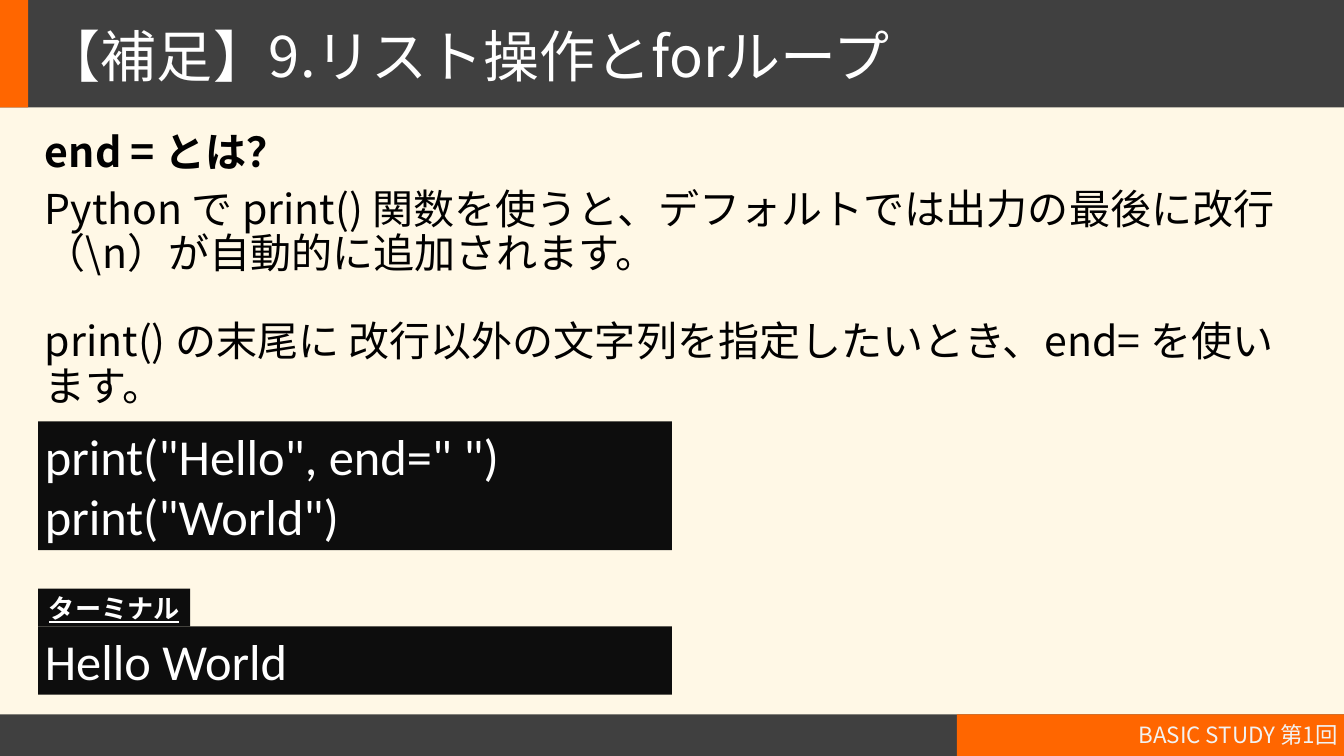
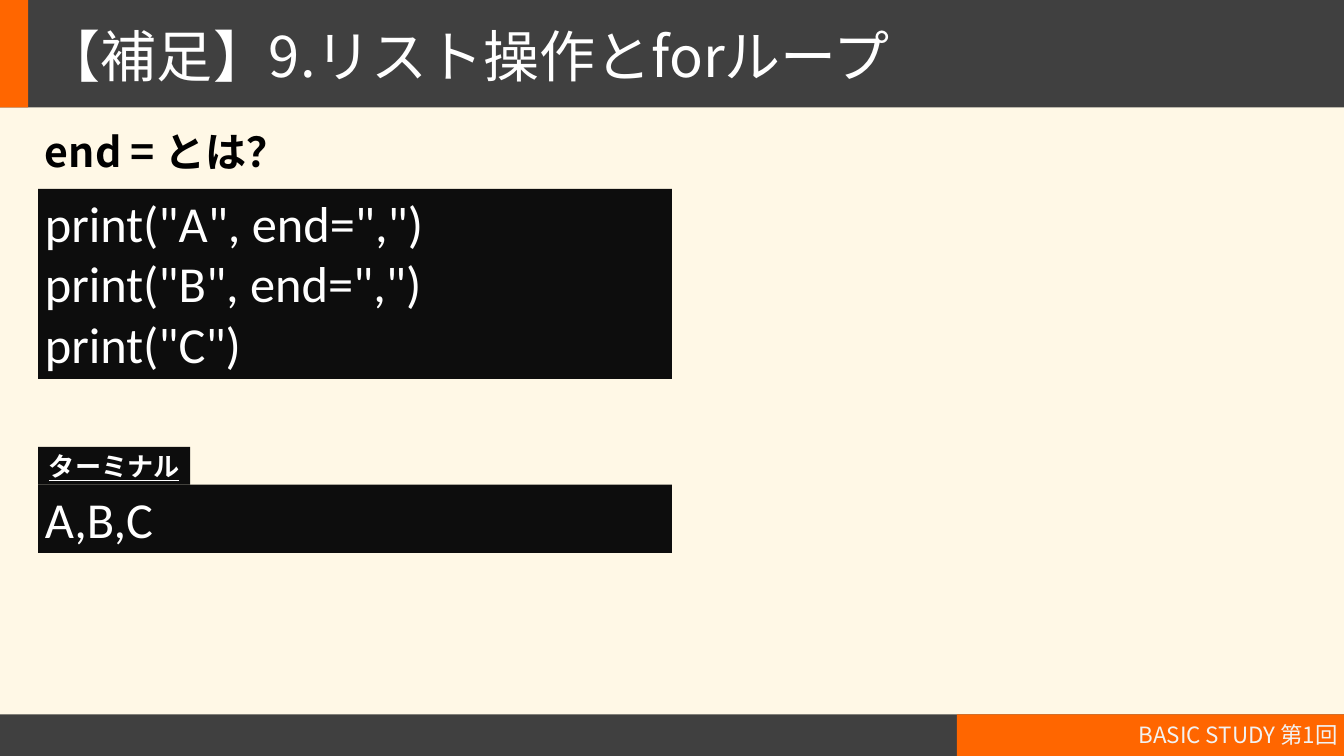
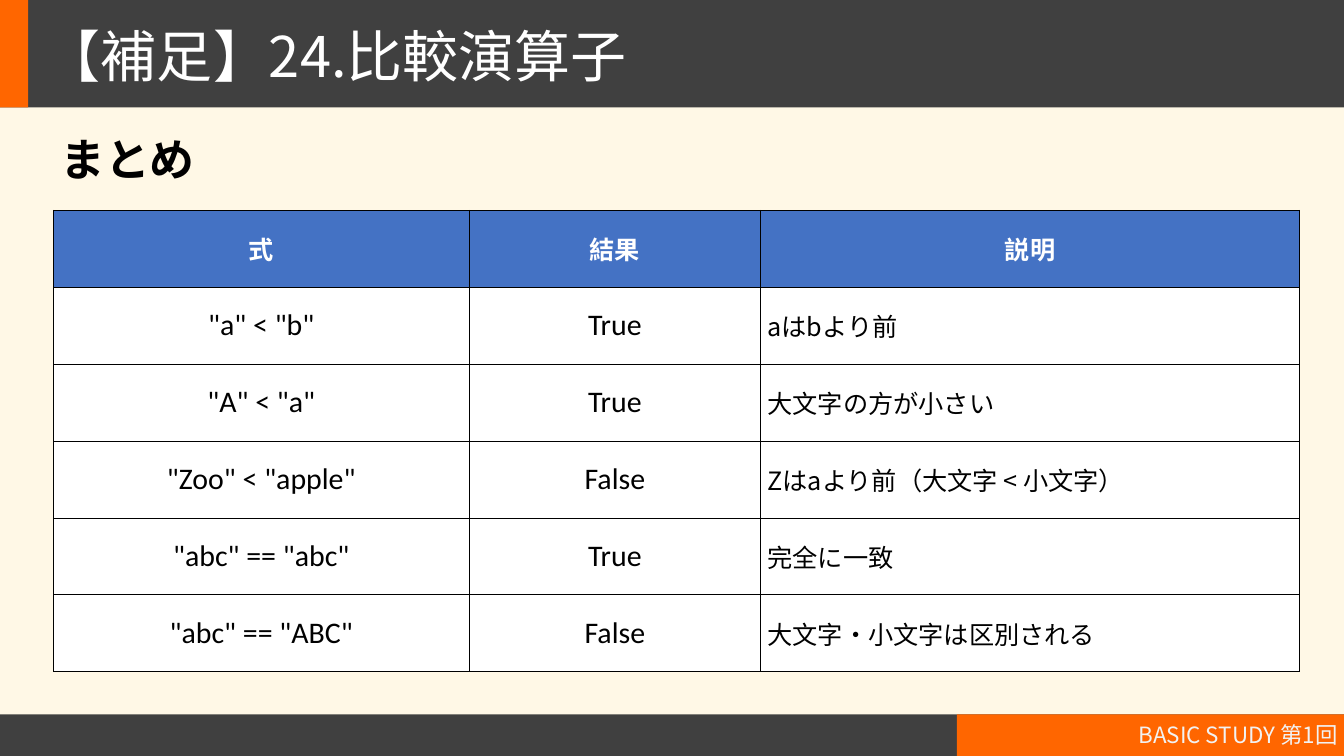
from dataclasses import dataclass

from lxml import etree
from pptx import Presentation
from pptx import util as u
from pptx.dml.color import RGBColor
from pptx.enum import shapes, text
from pptx.oxml.ns import qn


@dataclass(frozen=True)
class Theme:
    """Colours, fonts and type sizes shared by all slides."""
    cream: str = "FFF8E6"
    charcoal: str = "404040"
    orange: str = "FF6600"
    console: str = "0D0D0D"
    header: str = "4472C4"
    white: str = "FFFFFF"
    pale: str = "F2F2F2"
    black: str = "000000"
    japanese: str = "Noto Sans CJK JP"
    latin: str = "Calibri"
    title: int = 60
    code: int = 54
    summary: int = 48
    body: int = 44
    expression: int = 32
    label: int = 28
    cell: int = 27
    footer: int = 24


T = Theme()
WIDTH, HEIGHT = 1440, 810
TITLE_BAND, FOOTER_TOP = 115.2, 765.4
LEFT = 41
PANEL_WIDTH = 679
LABEL_WIDTH, LABEL_HEIGHT = 162.7, 40.5
TERMINAL_HEIGHT = 73
PP, ANCHOR, FIT = text.PP_ALIGN, text.MSO_ANCHOR, text.MSO_AUTO_SIZE


def write(frame, lines, size=T.body, color=T.black, font=T.japanese, bold=False,
          underline=False, align=PP.LEFT, anchor=ANCHOR.TOP, spacing=1.0, gap=0):
    """Fill a text frame with one paragraph per line in the given format."""
    frame.word_wrap = True
    frame.vertical_anchor = anchor
    for index, line in enumerate(lines):
        paragraph = frame.add_paragraph() if index else frame.paragraphs[0]
        paragraph.alignment = align
        paragraph.line_spacing = spacing
        paragraph.space_before = u.Pt(gap if index else 0)
        run = paragraph.add_run()
        run.text = line
        run.font.size = u.Pt(size)
        run.font.bold = bold
        run.font.underline = underline
        run.font.color.rgb = RGBColor.from_string(color)
        run.font.name = font
        if font == T.japanese:
            properties = run.font.fill and run._r.get_or_add_rPr()
            etree.SubElement(properties, qn("a:ea"), typeface=font)


def points(*lengths):
    """Convert lengths in points."""
    return [u.Pt(length) for length in lengths]


def add_block(slide, box, color):
    """Add a plain filled rectangle."""
    block = slide.shapes.add_shape(shapes.MSO_SHAPE.RECTANGLE, *points(*box))
    block.shadow.inherit = False
    block.fill.solid()
    block.fill.fore_color.rgb = RGBColor.from_string(color)
    block.line.fill.background()
    return block


def add_words(slide, box, lines, **style):
    """Add a text box at the given box."""
    words = slide.shapes.add_textbox(*points(*box))
    write(words.text_frame, lines, **style)


def prepare_layout(prs):
    """Give the title layout its background and its header and footer bands."""
    background = prs.slide_master.background.fill
    background.solid()
    background.fore_color.rgb = RGBColor.from_string(T.cream)
    layout = prs.slide_layouts[5]
    for holder in list(layout.placeholders):
        if holder.placeholder_format.type != shapes.PP_PLACEHOLDER.TITLE:
            layout.shapes.element.remove(holder.element)
    return layout


def add_bands(slide, layout):
    """Draw the shared bands and hand them to the layout."""
    footer_height = HEIGHT - FOOTER_TOP
    bands = (
        ((0, FOOTER_TOP, WIDTH, footer_height), T.charcoal),
        ((1025.3, FOOTER_TOP, WIDTH - 1025.3, footer_height), T.orange),
        ((0, 0, WIDTH, TITLE_BAND), T.charcoal),
        ((0, 0, 30.2, TITLE_BAND), T.orange),
    )
    for box, color in bands:
        layout.shapes.element.append(add_block(slide, box, color).element)


def start_slide(prs, layout, title):
    """Add a slide with its title and footer text."""
    slide = prs.slides.add_slide(layout)
    if len(prs.slides) == 1:
        add_bands(slide, layout)
    heading = slide.shapes.title
    heading.left, heading.top, heading.width, heading.height = points(LEFT, 27.4, 1389.6, 60.5)
    heading.text_frame.auto_size = FIT.NONE
    write(heading.text_frame, [title], size=T.title, color=T.white, spacing=0.9)
    add_words(slide, (954, FOOTER_TOP, 486, 43.2), ["BASIC STUDY 第1回"], size=T.footer,
              color=T.pale, align=PP.RIGHT, anchor=ANCHOR.MIDDLE)
    return slide


def add_panel(slide, box, lines, **style):
    """Add a dark console panel holding lines of text."""
    panel = add_block(slide, box, T.console)
    write(panel.text_frame, lines, color=T.white, **style)
    panel.text_frame.auto_size = FIT.SHAPE_TO_FIT_TEXT


def add_terminal(slide, left, top, output):
    """Add a labelled terminal panel whose tab starts at the given corner."""
    add_panel(slide, (left, top + LABEL_HEIGHT, PANEL_WIDTH, TERMINAL_HEIGHT), [output],
              size=T.code, font=T.latin)
    add_panel(slide, (left, top, LABEL_WIDTH, LABEL_HEIGHT), ["ターミナル"], size=T.label,
              bold=True, underline=True, align=PP.CENTER)


def code_slide(prs, layout, code, code_box, output, terminal_top, explanation=()):
    """Build a slide with an explanation, a code sample and its output."""
    slide = start_slide(prs, layout, "【補足】9.リスト操作とforループ")
    add_words(slide, (LEFT, 138.2, 648, 60.5), ["end = とは？"], bold=True, spacing=0.9)
    if explanation:
        add_words(slide, (LEFT, 198.7, 1358, 312.5), explanation, spacing=0.9, gap=47)
    top, height = code_box
    add_panel(slide, (LEFT, top, PANEL_WIDTH, height), code, size=T.code, font=T.latin)
    add_terminal(slide, LEFT, terminal_top, output)


def format_cell(cell, words, fill, **style):
    """Write a table cell with a fill and thin black borders."""
    write(cell.text_frame, [words], **style)
    cell.vertical_anchor = ANCHOR.MIDDLE
    cell.fill.solid()
    cell.fill.fore_color.rgb = RGBColor.from_string(fill)
    properties = cell._tc.get_or_add_tcPr()
    for position, side in enumerate(("lnL", "lnR", "lnT", "lnB")):
        border = etree.Element(qn(f"a:{side}"), w=str(u.Pt(1)))
        solid = etree.SubElement(border, qn("a:solidFill"))
        etree.SubElement(solid, qn("a:srgbClr"), val=T.black)
        properties.insert(position, border)


def add_comparisons(slide, left, top, widths, row_height, header, rows):
    """Add the table of comparison expressions."""
    table = slide.shapes.add_table(
        len(rows) + 1, len(widths),
        *points(left, top, sum(widths), row_height * (len(rows) + 1))).table
    table.horz_banding = False
    for column, width in zip(table.columns, widths):
        column.width = u.Pt(width)
    for row in table.rows:
        row.height = u.Pt(row_height)
    for column, words in enumerate(header):
        format_cell(table.cell(0, column), words, T.header, size=T.cell, color=T.white,
                    bold=True, align=PP.CENTER)
    code = dict(size=T.expression, font=T.latin, align=PP.CENTER)
    styles = (code, code, dict(size=T.cell))
    for number, row in enumerate(rows, 1):
        for column, (words, style) in enumerate(zip(row, styles)):
            format_cell(table.cell(number, column), words, T.white, **style)


def summary_slide(prs, layout):
    """Build the summary of comparison operators."""
    slide = start_slide(prs, layout, "【補足】24.比較演算子")
    add_words(slide, (57.6, 144, 850.3, 51), ["まとめ"], size=T.summary, bold=True, spacing=0.9)
    add_comparisons(slide, 57.6, 225.4, (445, 312.5, 577.4), 82.4, ("式", "結果", "説明"), (
        ('"a" < "b"', "True", "aはbより前"),
        ('"A" < "a"', "True", "大文字の方が小さい"),
        ('"Zoo" < "apple"', "False", "Zはaより前（大文字 < 小文字）"),
        ('"abc" == "abc"', "True", "完全に一致"),
        ('"abc" == "ABC"', "False", "大文字・小文字は区別される"),
    ))


def main():
    """Build and save the slides."""
    prs = Presentation()
    prs.slide_width, prs.slide_height = points(WIDTH, HEIGHT)
    layout = prepare_layout(prs)
    code_slide(prs, layout, ('print("Hello", end=" ")', 'print("World")'), (451.4, 138.2),
               "Hello World", 630.7, (
                   "Python で print() 関数を使うと、デフォルトでは出力の最後に改行（\\n）が自動的に追加されます。",
                   "print() の末尾に 改行以外の文字列を指定したいとき、end= を使います。"))
    code_slide(prs, layout, ('print("A", end=",")', 'print("B", end=",")', 'print("C")'),
               (202.3, 203.8), "A,B,C", 478.8)
    summary_slide(prs, layout)
    prs.save("out.pptx")


if __name__ == "__main__":
    main()
